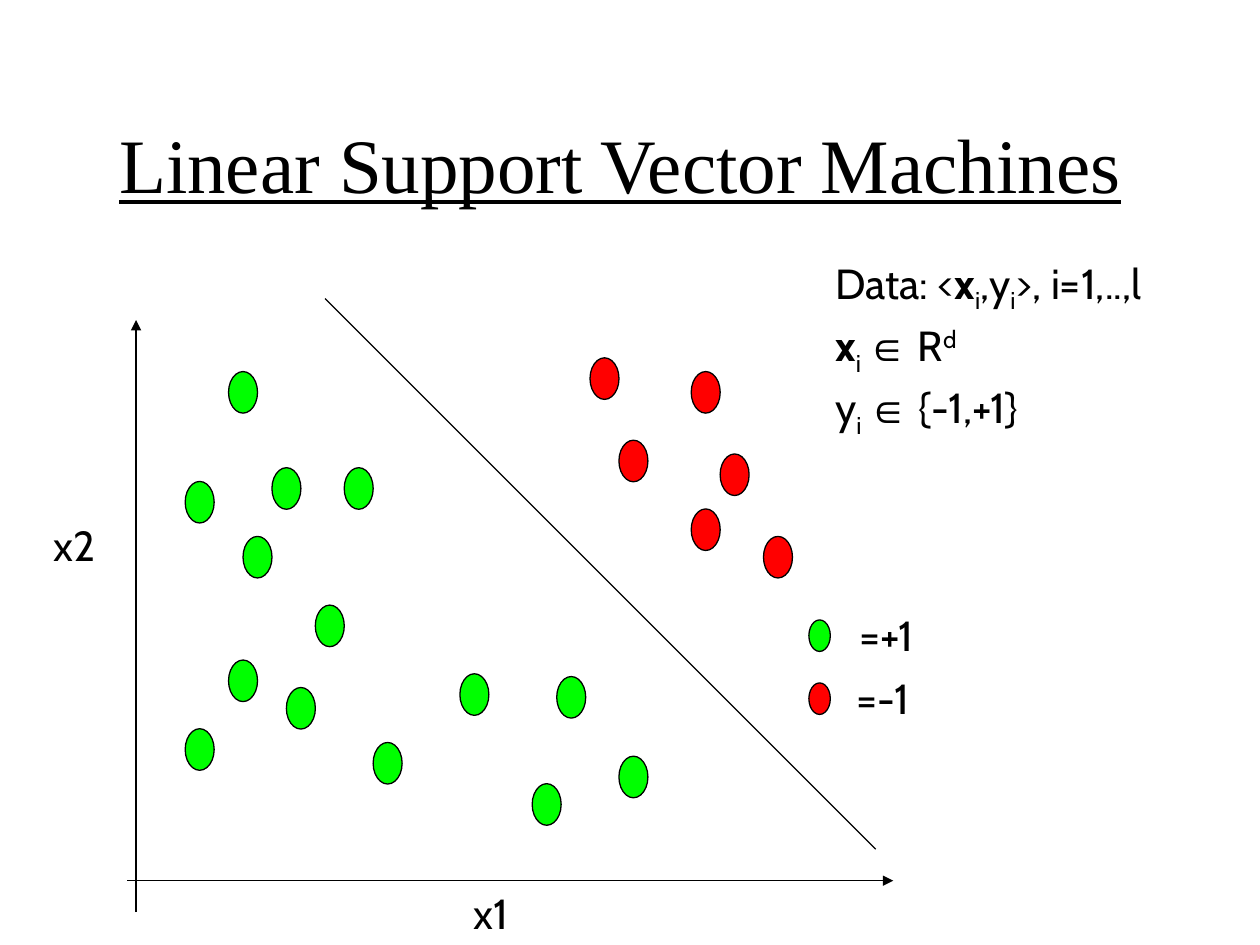
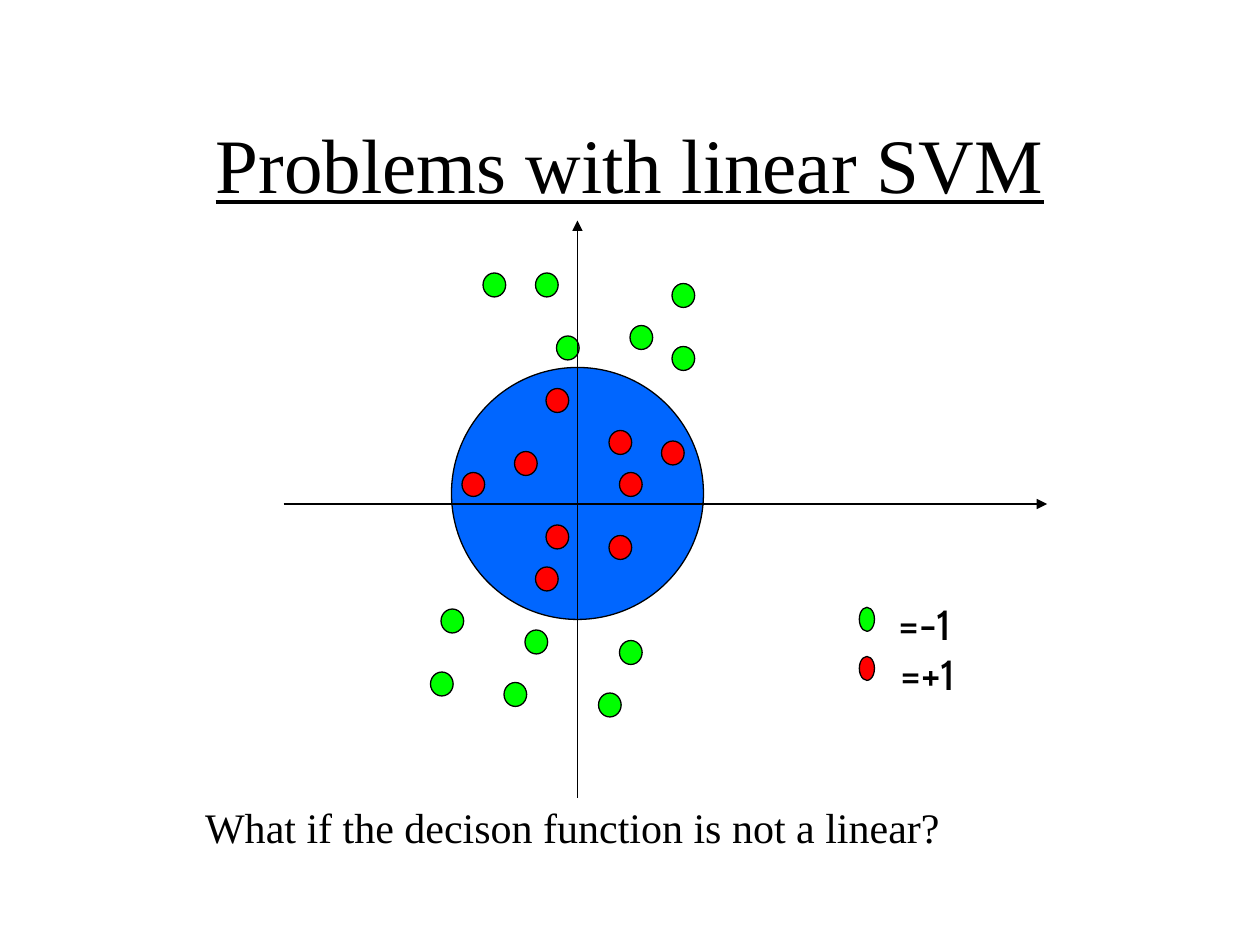
from dataclasses import dataclass

from lxml.etree import SubElement
from pptx import Presentation
from pptx.dml.color import RGBColor
from pptx.enum.shapes import MSO_CONNECTOR, MSO_SHAPE
from pptx.enum.text import MSO_ANCHOR, MSO_AUTO_SIZE, PP_ALIGN
from pptx.oxml.ns import qn
from pptx.util import Inches, Pt


@dataclass(frozen=True)
class Theme:
    ink: RGBColor = RGBColor(0, 0, 0)
    paper: RGBColor = RGBColor(255, 255, 255)
    green: RGBColor = RGBColor(0, 255, 0)
    red: RGBColor = RGBColor(255, 0, 0)
    blue: RGBColor = RGBColor(0, 102, 255)
    serif: str = "Times New Roman"
    sans: str = "Cabin"
    symbol: str = "Arial"
    title_size: int = 44
    body_size: int = 24
    line_width: float = 0.75


@dataclass(frozen=True)
class Grid:
    left: float
    top: float
    col: float
    row: float

    def at(self, c, r):
        return self.left + c * self.col, self.top + r * self.row


THEME = Theme()
SCATTER = Grid(1.47, 2.84, 4.59 / 40, 3.38 / 31)
TWELFTHS = Grid(0, 0, 1 / 12, 1 / 12)
BASELINES = {"sub": "-25000", "sup": "30000"}

LINEAR_GREEN = [(3, 1), (6, 8), (11, 8), (4, 13), (0, 9), (3, 22), (7, 24), (0, 27),
                (9, 18), (13, 28), (24, 31), (19, 23), (30, 29), (25.7, 23.2)]
LINEAR_RED = [(40, 13), (35, 11), (30, 6), (28, 0), (37, 7), (35, 1)]
OUTER_GREEN = [(53, 32), (60, 31), (59, 61), (41, 64), (48, 65), (57, 66),
               (46, 26), (42, 58), (50, 60), (51, 26), (64, 27), (64, 33)]
INNER_RED = [(58, 51), (63, 42), (51, 54), (59, 45), (52, 37),
             (52, 50), (58, 41), (49, 43), (44, 45)]
DATA_LINES = [
    [("Data: <", ""), ("x", "bold"), ("i", "sub"), (",y", ""), ("i", "sub"), (">, i=1,..,l", "")],
    [("x", "bold"), ("i ", "sub"), ("∈", "symbol"), (" R", ""), ("d", "sup")],
    [("y", ""), ("i ", "sub"), ("∈", "symbol"), (" {-1,+1}", "")],
]


def set_font(font, name, size):
    font.name = name
    font.size = Pt(size)
    font.color.rgb = THEME.ink


def add_slide(prs, title, tail=""):
    s = prs.slides.add_slide(prs.slide_layouts[5])
    s.background.fill.solid()
    s.background.fill.fore_color.rgb = THEME.paper
    sp = s.shapes.title
    sp.left, sp.top, sp.width, sp.height = map(Inches, (0.75, 0.67, 8.5, 1.25))
    tf = sp.text_frame
    tf.auto_size = MSO_AUTO_SIZE.NONE
    tf.vertical_anchor = MSO_ANCHOR.MIDDLE
    p = tf.paragraphs[0]
    p.alignment = PP_ALIGN.CENTER
    set_font(p.font, THEME.serif, THEME.title_size)
    r = p.add_run()
    r.text = title
    r.font.underline = True
    if tail:
        p.add_run().text = tail
    return s


def add_text(s, box, lines, face=THEME.sans):
    tf = s.shapes.add_textbox(*map(Inches, box)).text_frame
    tf.word_wrap = False
    tf.auto_size = MSO_AUTO_SIZE.SHAPE_TO_FIT_TEXT
    for i, line in enumerate(lines):
        p = tf.add_paragraph() if i else tf.paragraphs[0]
        p.line_spacing = 0.9
        if i:
            p.space_before = Pt(6)
        set_font(p.font, face, THEME.body_size)
        for text, style in line:
            r = p.add_run()
            r.text = text
            if style == "bold":
                r.font.bold = True
            elif style == "symbol":
                r.font.name = THEME.symbol
            elif style in BASELINES:
                r._r.get_or_add_rPr().set("baseline", BASELINES[style])


def add_label(s, box, text, face=THEME.sans):
    add_text(s, box, [[(text, "")]], face)


def add_ellipse(s, pos, size, color):
    sp = s.shapes.add_shape(MSO_SHAPE.OVAL, *map(Inches, (*pos, *size)))
    sp.shadow.inherit = False
    sp.fill.solid()
    sp.fill.fore_color.rgb = color
    sp.line.color.rgb = THEME.ink
    sp.line.width = Pt(THEME.line_width)


def add_points(s, grid, cells, size, color):
    for cell in cells:
        add_ellipse(s, grid.at(*cell), size, color)


def add_line(s, start, end, arrow=False):
    cxn = s.shapes.add_connector(MSO_CONNECTOR.STRAIGHT, *map(Inches, (*start, *end)))
    cxn.line.color.rgb = THEME.ink
    cxn.line.width = Pt(THEME.line_width)
    if arrow:
        SubElement(cxn.line._get_or_add_ln(), qn("a:tailEnd"), type="triangle")
    SubElement(cxn._element.spPr, qn("a:effectLst"))


def add_legend(s, left, top, step, size, entries):
    for i, (color, text, dx, dy) in enumerate(entries):
        y = top + i * step
        add_ellipse(s, (left, y), size, color)
        add_label(s, (left + dx, y + dy, 0.75, 0.46), text)


def linear_slide(prs):
    s = add_slide(prs, "Linear Support Vector Machines", " ")
    add_label(s, (3.66, 7.04, 0.56, 0.46), "x1")
    add_label(s, (0.33, 4.12, 0.56, 0.46), "x2")
    add_line(s, (1.08, 7.24), (1.08, 2.54), arrow=True)
    add_line(s, (1.01, 6.99), (7.09, 6.99), arrow=True)
    dot = (0.23, 0.33)
    add_points(s, SCATTER, LINEAR_GREEN, dot, THEME.green)
    add_points(s, SCATTER, LINEAR_RED, dot, THEME.red)
    add_line(s, (2.58, 2.37), (6.95, 6.74))
    add_legend(s, 6.42, 4.92, 0.5, (0.17, 0.25),
               [(THEME.green, "=+1", 0.3, -0.09), (THEME.red, "=-1", 0.28, -0.09)])
    add_text(s, (6.53, 2, 3.13, 1.94), DATA_LINES)


def circular_slide(prs):
    s = add_slide(prs, "Problems with linear SVM")
    add_ellipse(s, TWELFTHS.at(43, 35), (2, 2), THEME.blue)
    dot = (0.18, 0.19)
    add_points(s, TWELFTHS, OUTER_GREEN, dot, THEME.green)
    add_points(s, TWELFTHS, INNER_RED, dot, THEME.red)
    add_line(s, TWELFTHS.at(55, 76), TWELFTHS.at(55, 21), arrow=True)
    add_line(s, (2.25, 4), (8.31, 4), arrow=True)
    add_legend(s, 6.82, 4.82, 0.39, (0.12, 0.19),
               [(THEME.green, "=-1", 0.21, -0.07), (THEME.red, "=+1", 0.23, -0.07)])
    add_label(s, (1.53, 6.36, 6.03, 0.46),
              "What if the decison function is not a linear?", THEME.serif)


def main():
    prs = Presentation()
    prs.slide_width, prs.slide_height = Inches(10), Inches(7.5)
    linear_slide(prs)
    circular_slide(prs)
    prs.save("out.pptx")


if __name__ == "__main__":
    main()
